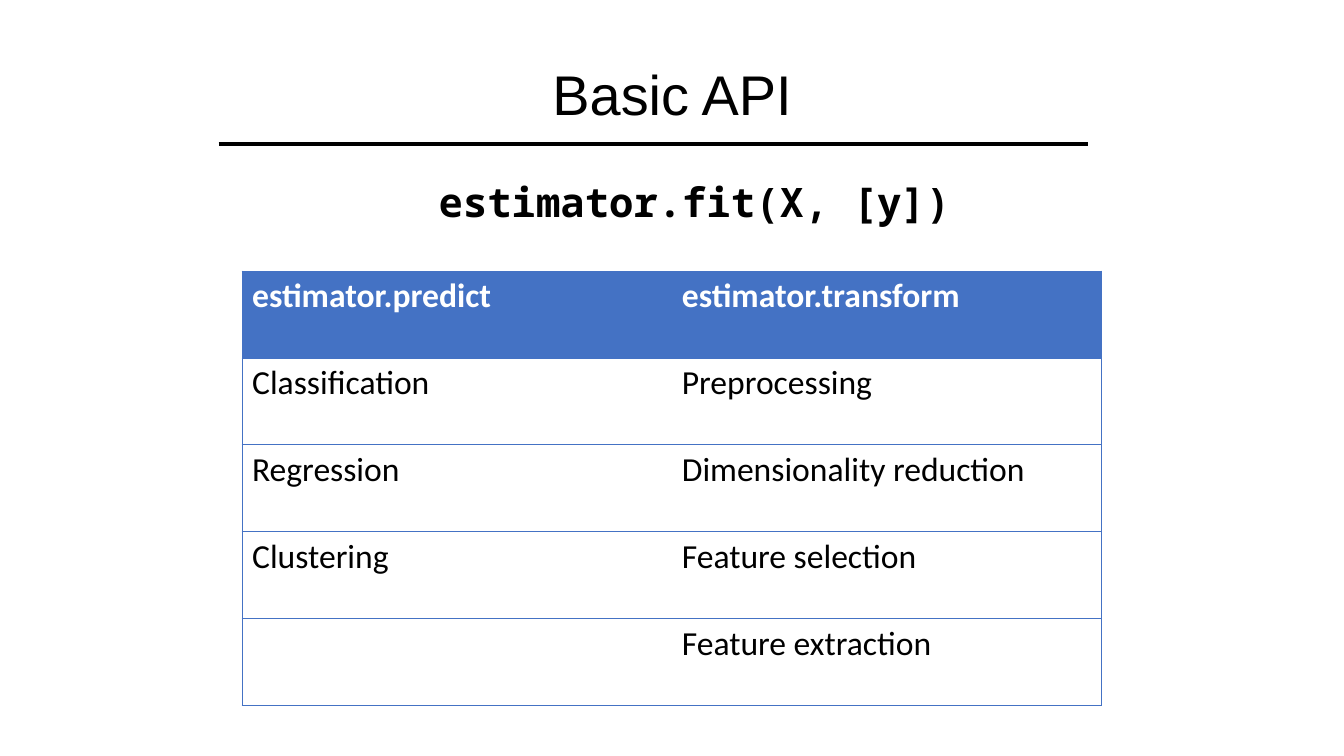
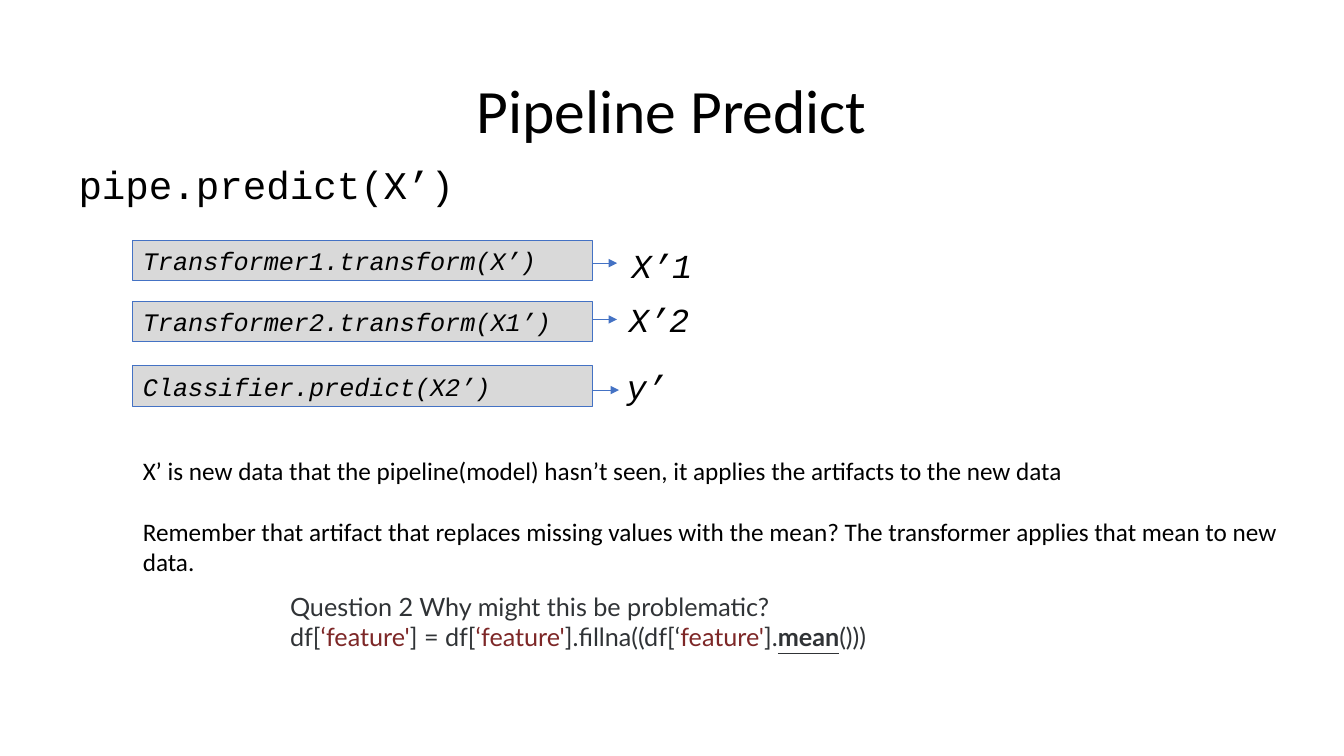
"""Build two slides on the estimator API and pipeline prediction."""
from lxml import etree
from pptx import Presentation
from pptx import util as u
from pptx.dml.color import RGBColor
from pptx.enum import shapes, text
from pptx.oxml.ns import qn

BLACK, WHITE, BLUE, GREY = "000000", "FFFFFF", "4472C4", "D9D9D9"
INK, MAROON = "303336", "7D2727"
BODY, CODE = "Calibri", "Courier New"
CENTER, LEFT = text.PP_ALIGN.CENTER, text.PP_ALIGN.LEFT

METHODS = [
    ("estimator.predict", "estimator.transform"),
    ("Classification", "Preprocessing"),
    ("Regression", "Dimensionality reduction"),
    ("Clustering", "Feature selection"),
    ("", "Feature extraction"),
]
TABLE_LEFT, TABLE_TOP, COLUMN_WIDTH, ROW_HEIGHT = 6.1, 6.83, 10.83, 2.19

# step, box top, arrow start, arrow height, result, result left, result top
STEPS = [
    ("Transformer1.transform(X’)", 6.05, 11.61, 6.63, "X’1", 15.67, 6.05),
    ("Transformer2.transform(X1’)", 7.59, 11.61, 8.05, "X’2", 15.6, 7.42),
    ("Classifier.predict(X2’)", 9.22, 11.66, 9.83, "y’", 15.54, 9.09),
]
STEP_LEFT, STEP_WIDTH, STEP_HEIGHT, ARROW_LENGTH = 3.35, 11.58, 1.02, 3.94

NOTES = [
    "X’ is new data that the pipeline(model) hasn’t seen, "
    "it applies the artifacts to the new data",
    "Remember that artifact that replaces missing values with the mean? "
    "The transformer applies that mean to new data.",
]
QUESTION = [
    "Question 2 Why might this be problematic?",
    [("df[", INK), ("‘feature'", MAROON), ("] = df[", INK),
     ("‘feature'", MAROON), ("].fillna((df[‘", INK), ("feature'", MAROON),
     ("].", INK), ("mean", INK), ("()))", INK)],
]


def rgb(value):
    return RGBColor.from_string(value)


def write(frame, paragraphs, font, size, color=BLACK, bold=False, italic=False,
          align=LEFT, spacing=None, before=0, gap=0):
    """Fill a frame; a paragraph is a string or a list of coloured spans."""
    for index, content in enumerate(paragraphs):
        para = frame.paragraphs[0] if index == 0 else frame.add_paragraph()
        para.alignment, para.line_spacing = align, spacing
        para.space_before = u.Pt(gap if index else before)
        style = para.font
        style.name, style.size, style.bold, style.italic = font, u.Pt(size), bold, italic
        if isinstance(content, str):
            style.color.rgb = rgb(color)
            para.add_run().text = content
            continue
        for words, tint in content:
            span = para.add_run()
            span.text = words
            span.font.color.rgb = rgb(tint)
            if words == "mean":
                span.font.bold = span.font.underline = True


def add_text(page, place, paragraphs, font, size, inset=True,
             anchor=text.MSO_ANCHOR.TOP, **style):
    frame = page.shapes.add_textbox(*map(u.Cm, place)).text_frame
    frame.word_wrap, frame.vertical_anchor = True, anchor
    if not inset:
        frame.margin_left = frame.margin_right = 0
        frame.margin_top = frame.margin_bottom = 0
    write(frame, paragraphs, font, size, **style)
    return frame


def add_title(page, place, words, font, size, **style):
    add_text(page, place, [words], font, size, align=CENTER,
             anchor=text.MSO_ANCHOR.MIDDLE, **style)


def add_line(page, left, top, length, color, width, arrow=False):
    line = page.shapes.add_connector(
        shapes.MSO_CONNECTOR.STRAIGHT,
        u.Cm(left), u.Cm(top), u.Cm(left + length), u.Cm(top))
    line.line.color.rgb, line.line.width = rgb(color), u.Pt(width)
    if arrow:
        etree.SubElement(line.line._get_or_add_ln(), qn("a:tailEnd"), type="triangle")
    etree.SubElement(line._element.spPr, qn("a:effectLst"))


def add_step(page, top, words):
    box = page.shapes.add_shape(
        shapes.MSO_SHAPE.RECTANGLE,
        *map(u.Cm, (STEP_LEFT, top, STEP_WIDTH, STEP_HEIGHT)))
    box.shadow.inherit = False
    box.fill.solid()
    box.fill.fore_color.rgb = rgb(GREY)
    box.line.color.rgb, box.line.width = rgb(BLUE), u.Pt(0.75)
    box.text_frame.vertical_anchor = text.MSO_ANCHOR.TOP
    write(box.text_frame, [words], CODE, 18, italic=True)


def set_borders(cell, drawn):
    for side in "LRTB":
        edge = etree.SubElement(
            cell._tc.get_or_add_tcPr(), qn(f"a:ln{side}"), w=str(u.Pt(0.5)))
        if side in drawn:
            fill = etree.SubElement(edge, qn("a:solidFill"))
            etree.SubElement(fill, qn("a:srgbClr"), val=BLUE)
        else:
            etree.SubElement(edge, qn("a:noFill"))


def add_methods(page):
    rows, columns = len(METHODS), len(METHODS[0])
    table = page.shapes.add_table(rows, columns, *map(u.Cm, (
        TABLE_LEFT, TABLE_TOP, columns * COLUMN_WIDTH, rows * ROW_HEIGHT))).table
    table.first_row = table.horz_banding = False
    for row, entries in enumerate(METHODS):
        header = row == 0
        for column, words in enumerate(entries):
            cell = table.cell(row, column)
            set_borders(cell, "TB" + "LR"[column])
            cell.fill.solid()
            cell.fill.fore_color.rgb = rgb(BLUE if header else WHITE)
            if words:
                write(cell.text_frame, [words], BODY, 24,
                      color=WHITE if header else BLACK, bold=header)


deck = Presentation()
deck.slide_width, deck.slide_height = u.Cm(33.87), u.Cm(19.05)
blank = deck.slide_layouts[6]

page = deck.slides.add_slide(blank)
add_title(page, (5.51, 0.76, 22.86, 3.18), "Basic API", "Arial", 39.9, inset=False)
call = add_text(page, (5.51, 4.47, 22.86, 11.05), ["estimator.fit(X, [y])"],
                "Noto Sans Mono", 29, inset=False, bold=True, align=CENTER)
call.margin_left = u.Cm(1.14)
add_methods(page)
add_line(page, 5.51, 3.63, 21.9, BLACK, 2.89)

page = deck.slides.add_slide(blank)
add_title(page, (2.33, 1.02, 29.21, 3.68), "Pipeline Predict", BODY, 44, spacing=0.9)
add_text(page, (1.73, 4.04, 29.21, 6.45), ["pipe.predict(X’)"], CODE, 28,
         spacing=0.9, before=10)
for step, top, start, height, result, left, result_top in STEPS:
    add_line(page, start, height, ARROW_LENGTH, BLUE, 0.5, arrow=True)
    add_step(page, top, step)
    add_text(page, (left, result_top, 2.31, 1.27), [result], CODE, 24, italic=True)
add_text(page, (STEP_LEFT, 11.35, 30.53, 3.33), NOTES, BODY, 18, gap=22)
add_text(page, (7.06, 14.78, 23.06, 1.8), QUESTION, "Lato", 18, color=INK)

deck.save("out.pptx")
